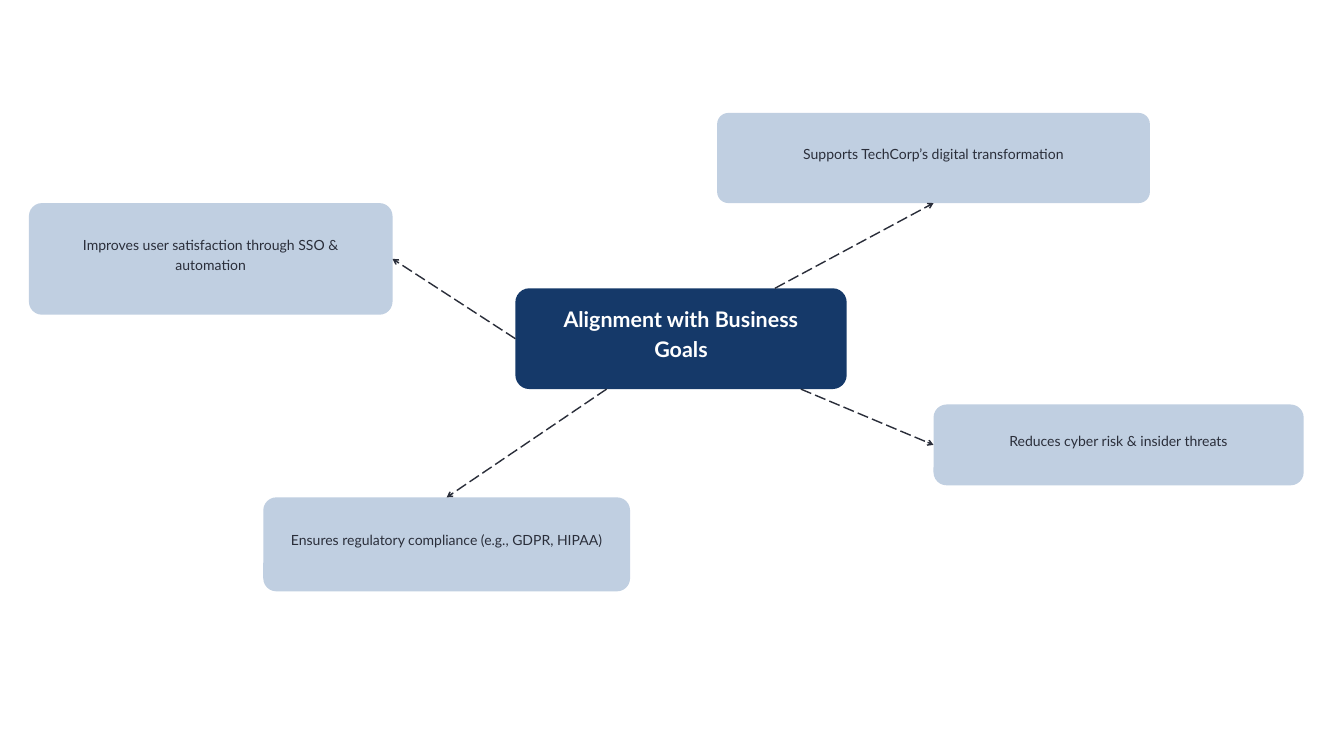
from lxml.etree import SubElement
from pptx import Presentation
from pptx.dml.color import RGBColor
from pptx.enum.dml import MSO_LINE
from pptx.enum.shapes import MSO_CONNECTOR, MSO_SHAPE
from pptx.enum.text import MSO_ANCHOR, MSO_AUTO_SIZE, PP_ALIGN
from pptx.oxml.ns import qn
from pptx.util import Pt

# Content: boxes are (left, top, width, height) in points
TITLE = "Alignment with Business Goals"
HUB_BOX = (552.2, 308.9, 355, 108)
TOP, LEFT, BOTTOM = 0, 1, 2

# Text, box, corner radius, side the arrow reaches, hub side it leaves from
GOALS = [
    ("Improves user satisfaction through SSO & automation",
     (31, 217.6, 389.6, 119.6), 14, 3, LEFT),
    ("Supports TechCorp’s digital transformation",
     (768.4, 121, 463.7, 96.6), 12, BOTTOM, None),
    ("Ensures regulatory compliance (e.g., GDPR, HIPAA)",
     (282.1, 532.9, 393, 100.7), 14, TOP, None),
    ("Reduces cyber risk & insider threats",
     (1000.2, 433.4, 396.6, 86.6), 14, LEFT, None),
]

THEME = {
    "font": "Lato",
    "hub": RGBColor.from_string("153969"),
    "goal": RGBColor.from_string("C0CFE1"),
    "ink": RGBColor.from_string("2A2E3A"),
    "light": RGBColor.from_string("FFFFFF"),
    "title_size": 23, "title_leading": 32.2, "title_lift": 14.4,
    "body_size": 15, "body_leading": 21, "body_lift": 11.5,
    "inset": 20.16, "line": 1.5, "hub_radius": 15,
}


def add_box(s, box, radius, color):
    sp = s.shapes.add_shape(MSO_SHAPE.ROUNDED_RECTANGLE, *map(Pt, box))
    sp.adjustments[0] = radius / min(box[2:])
    sp.shadow.inherit = False
    sp.fill.solid()
    sp.fill.fore_color.rgb = color
    sp.line.fill.background()
    return sp


def write(sp, text, kind, color, bold=False):
    """Centre the text, lifted a little above the middle of its box."""
    tf = sp.text_frame
    tf.word_wrap = True
    tf.auto_size = MSO_AUTO_SIZE.NONE
    tf.vertical_anchor = MSO_ANCHOR.MIDDLE
    tf.margin_left = tf.margin_right = tf.margin_bottom = Pt(THEME["inset"])
    tf.margin_top = Pt(THEME["inset"] - THEME[kind + "_lift"])
    p = tf.paragraphs[0]
    p.alignment = PP_ALIGN.CENTER
    p.line_spacing = Pt(THEME[kind + "_leading"])
    p.space_before = Pt(0)
    r = p.add_run()
    r.text = text
    r.font.name = THEME["font"]
    r.font.size = Pt(THEME[kind + "_size"])
    r.font.bold = bold
    r.font.color.rgb = color


def side_middle(box, side):
    x, y, w, h = box
    return [(x + w / 2, y), (x, y + h / 2),
            (x + w / 2, y + h), (x + w, y + h / 2)][side]


def hub_exit(target):
    """Point where the line from the hub centre to target crosses top or bottom."""
    x, y, w, h = HUB_BOX
    cx, cy = x + w / 2, y + h / 2
    dx, dy = target[0] - cx, target[1] - cy
    t = h / 2 / abs(dy)
    return cx + t * dx, cy + t * dy


def add_arrow(s, hub, goal, box, side, hub_side):
    end = side_middle(box, side)
    start = hub_exit(end) if hub_side is None else side_middle(HUB_BOX, hub_side)
    c = s.shapes.add_connector(MSO_CONNECTOR.STRAIGHT, *map(Pt, start + end))
    if hub_side is not None:
        c.begin_connect(hub, hub_side)
    c.end_connect(goal, side)
    c.line.color.rgb = THEME["ink"]
    c.line.width = Pt(THEME["line"])
    c.line.dash_style = MSO_LINE.LONG_DASH
    SubElement(c.line._get_or_add_ln(), qn("a:tailEnd"), type="arrow")
    SubElement(c._element.spPr, qn("a:effectLst"))


def main():
    prs = Presentation()
    prs.slide_width, prs.slide_height = Pt(1440), Pt(810)
    s = prs.slides.add_slide(prs.slide_layouts[5])

    # Central hub, with the slide title on top of it
    hub = add_box(s, HUB_BOX, THEME["hub_radius"], THEME["hub"])
    title = s.shapes.title
    title.left, title.top, title.width, title.height = map(Pt, HUB_BOX)
    s.shapes._spTree.append(title._element)
    write(title, TITLE, "title", THEME["light"], bold=True)

    # Goals around the hub, each reached by a dashed arrow
    for text, box, radius, side, hub_side in GOALS:
        goal = add_box(s, box, radius, THEME["goal"])
        write(goal, text, "body", THEME["ink"])
        add_arrow(s, hub, goal, box, side, hub_side)

    prs.save("out.pptx")


if __name__ == "__main__":
    main()
